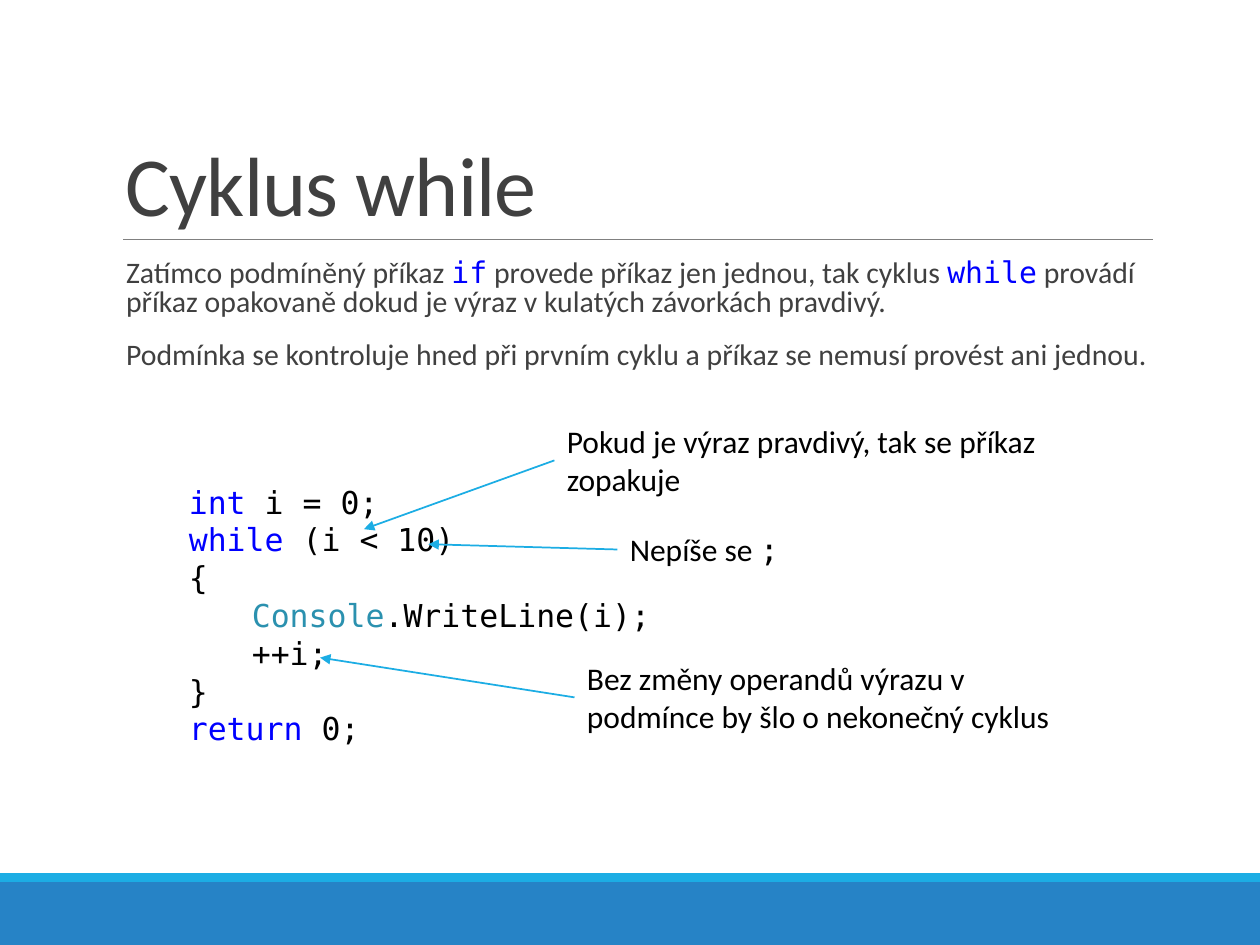
import pptx
import pptx.dml.color
import pptx.enum.shapes
import pptx.enum.text
import pptx.oxml.ns
import pptx.util
from lxml import etree

Pt = pptx.util.Pt
SHAPES = pptx.enum.shapes.MSO_SHAPE
ANCHOR = pptx.enum.text.MSO_ANCHOR

COLORS = {
    "blue": "2683C6", "cyan": "1CADE4", "rule": "808080", "gray": "404040",
    "black": "000000", "keyword": "0000FF", "class": "2B91AF",
}
SANS, MONO = "Calibri", "DejaVu Sans Mono"

# Content: a paragraph is a list of (text, font, color) runs
TITLE = [("Cyklus while", SANS, "gray")]
BODY = [
    [("Zatímco podmíněný příkaz ", SANS, "gray"), ("if", MONO, "keyword"),
     (" provede příkaz jen jednou, tak cyklus ", SANS, "gray"),
     ("while", MONO, "keyword"),
     (" provádí příkaz opakovaně dokud je výraz v kulatých závorkách pravdivý.", SANS, "gray")],
    [("Podmínka se kontroluje hned při prvním cyklu a příkaz se nemusí provést ani jednou.",
      SANS, "gray")],
]
# Code lines: (indent level, [(text, color)])
CODE = [
    (1, [("int", "keyword"), (" i = 0;", "black")]),
    (1, [("while", "keyword"), (" (i < 10)", "black")]),
    (1, [("{", "black")]),
    (2, [("Console", "class"), (".WriteLine(i);", "black")]),
    (2, [("++i;", "black")]),
    (1, [("}", "black")]),
    (1, [("return", "keyword"), (" 0;", "black")]),
]
# Notes: (runs, left, top, height, arrow tip)
NOTES = [
    ([("Pokud je výraz pravdivý, tak se příkaz zopakuje", SANS, "black")],
     316.8, 237.6, 51, (208, 302.4)),
    ([("Nepíše se ", SANS, "black"), (";", MONO, "black")],
     352.8, 299.5, 29, (244.8, 311)),
    ([("Bez změny operandů výrazu v podmínce by šlo o nekonečný cyklus", SANS, "black")],
     328.3, 373, 51, (182.9, 375.8)),
]
WIDTH, HEIGHT = 720, 540
LEFT, CONTENT_WIDTH, NOTE_WIDTH = 64.8, 594, 306
CODE_INDENT = 36


def color(name):
    return pptx.dml.color.RGBColor.from_string(COLORS[name])


def add_element(parent, tag, **attributes):
    return etree.SubElement(parent, pptx.oxml.ns.qn(tag), **attributes)


def add_bar(slide, top, height, fill):
    bar = slide.shapes.add_shape(SHAPES.RECTANGLE, 0, Pt(top), Pt(WIDTH), Pt(height))
    bar.shadow.inherit = False
    bar.fill.solid()
    bar.fill.fore_color.rgb = color(fill)
    bar.line.fill.background()


def add_line(slide, start, end, line_color, width):
    line = slide.shapes.add_connector(
        pptx.enum.shapes.MSO_CONNECTOR.STRAIGHT, *map(Pt, start + end))
    line.line.color.rgb = color(line_color)
    line.line.width = Pt(width)
    add_element(line._element.spPr, "a:effectLst")
    return line


def add_text(slide, box, paragraphs, size, anchor=ANCHOR.TOP):
    shape = slide.shapes.add_textbox(*map(Pt, box))
    frame = shape.text_frame
    frame.word_wrap = True
    frame.vertical_anchor = anchor
    for index, runs in enumerate(paragraphs):
        paragraph = frame.add_paragraph() if index else frame.paragraphs[0]
        for text, font, name in runs:
            run = paragraph.add_run()
            run.text = text
            run.font.name = font
            run.font.size = Pt(size)
            run.font.color.rgb = color(name)
    return shape


presentation = pptx.Presentation()
presentation.slide_width, presentation.slide_height = Pt(WIDTH), Pt(HEIGHT)
slide = presentation.slides.add_slide(presentation.slide_layouts[6])

# Footer bars and title rule
add_bar(slide, 504, 36, "blue")
add_bar(slide, 499, 5, "cyan")
add_line(slide, (70.5, 136.8), (658.8, 136.8), "rule", 0.5)

# Title
title = add_text(slide, (LEFT, 22.3, CONTENT_WIDTH, 114.5), [TITLE], 48, ANCHOR.BOTTOM)
title_paragraph = title.text_frame.paragraphs[0]
title_paragraph.line_spacing = 0.85
title_paragraph.runs[0].font._element.set("spc", "-50")

# Body
body = add_text(slide, (LEFT, 145.4, CONTENT_WIDTH, 83.5), BODY, 17)
body.text_frame.margin_left = body.text_frame.margin_right = 0
for index, paragraph in enumerate(body.text_frame.paragraphs):
    paragraph.line_spacing = 0.8
    paragraph.space_before = Pt(12 if index else 0)
    paragraph.space_after = Pt(2)
    paragraph._p.get_or_add_pPr().set("marL", str(Pt(7.2)))

# Code
code_lines = [[(text, MONO, name) for text, name in runs] for _, runs in CODE]
code = add_text(slide, (LEFT, 272.2, CONTENT_WIDTH, 181.4), code_lines, 18)
for paragraph, (level, _) in zip(code.text_frame.paragraphs, CODE):
    paragraph._p.get_or_add_pPr().set("marL", str(Pt(level * CODE_INDENT)))

# Notes with arrows to the code
for runs, left, top, height, tip in NOTES:
    note = add_text(slide, (left, top, NOTE_WIDTH, height), [runs], 18)
    arrow = add_line(slide, (left, top + height / 2), tip, "cyan", 1)
    arrow.begin_connect(note, 1)
    add_element(arrow.line._get_or_add_ln(), "a:tailEnd", type="triangle")

presentation.save("out.pptx")
